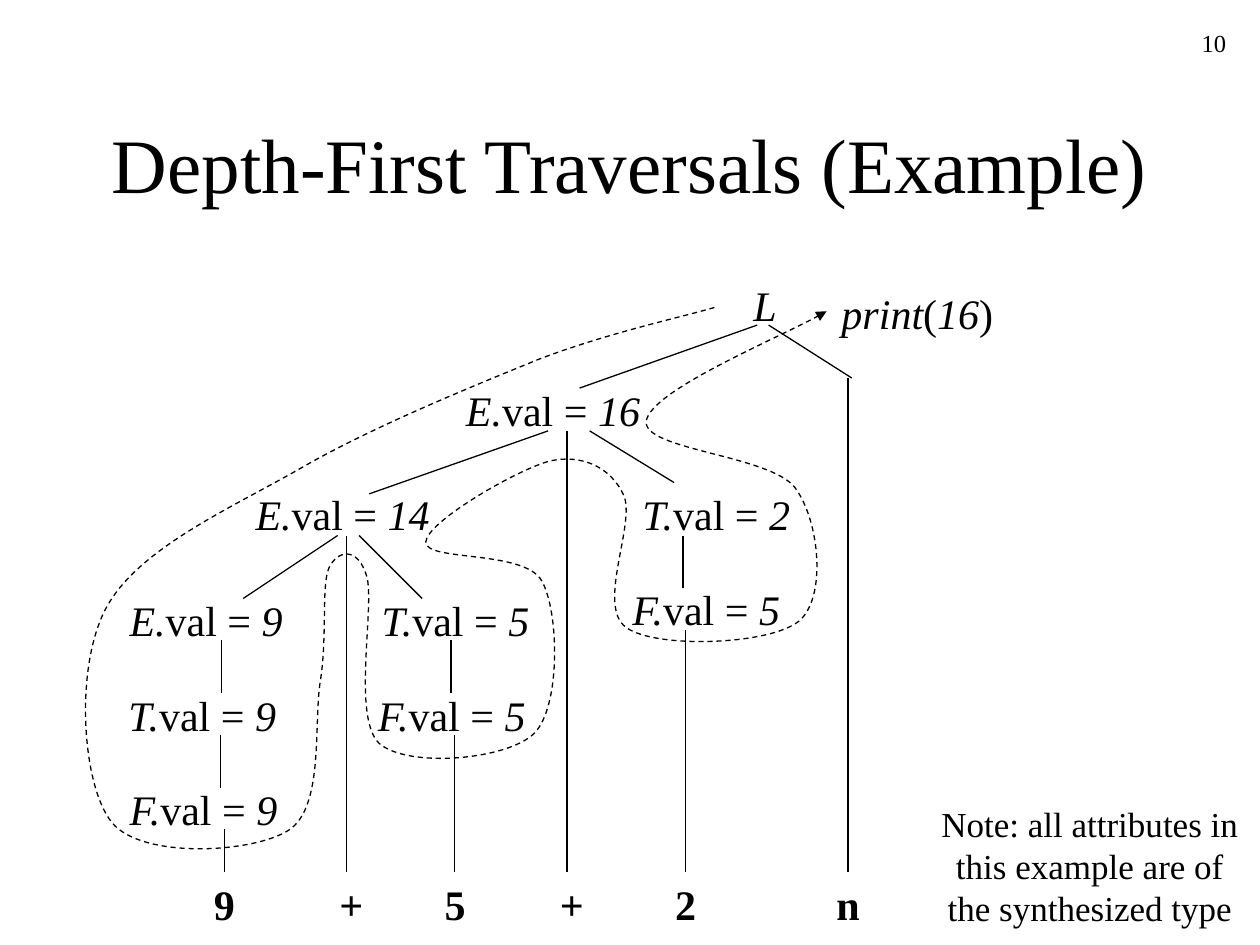
from collections import namedtuple

from lxml.etree import SubElement
from pptx import Presentation
from pptx.dml.color import RGBColor
from pptx.enum.dml import MSO_LINE_DASH_STYLE as Dash
from pptx.enum.shapes import MSO_CONNECTOR as Connector
from pptx.enum.text import MSO_ANCHOR as Anchor, MSO_AUTO_SIZE as AutoSize, PP_ALIGN as Align
from pptx.oxml.ns import qn
from pptx.util import Inches, Pt

COLORS = {"ink": "000000", "paper": "FFFFFF"}
FONT = "Times New Roman"
COLUMNS, ROWS = 10, 7.5
TOP = 0  # connection site of a rectangle

Box = namedtuple("Box", "left top width height")

# symbol, value, left, top, width (columns and rows of the tree box)
NODES = [
    ("E", "16", 3.6, 1, 1.6),
    ("E", "14", 1.93, 1.83, 1.6),
    ("T", "2", 5, 1.83, 1.45),
    ("F", "5", 4.92, 2.58, 1.45),
    ("E", "9", 0.93, 2.67, 1.45),
    ("T", "5", 2.93, 2.67, 1.45),
    ("T", "9", 0.92, 3.42, 1.45),
    ("F", "5", 2.9, 3.42, 1.45),
    ("F", "9", 0.93, 4.17, 1.45),
]
# token, stem column, stem top, width, offset of the token from its stem
LEAVES = [
    ("9", 1.76, 4.58, 0.36, 0.02),
    ("+", 2.75, 2.25, 0.39, 0.04),
    ("5", 3.6, 3.83, 0.36, 0.01),
    ("+", 4.5, 1.42, 0.39, 0.04),
    ("2", 5.43, 3, 0.36, 0.01),
    ("n", 6.75, 1, 0.38, -0.02),
]
JOIN_TOLERANCE = 0.02
LEAF_TOP = 4.92
BRANCHES = [
    (6.01, 0.58, 4.6, 1.08), (6.1, 0.58, 6.76, 1),
    (4.35, 1.42, 2.93, 1.92), (4.68, 1.42, 5.35, 1.83),
    (2.68, 2.25, 1.93, 2.75), (2.85, 2.25, 3.35, 2.75),
    (5.42, 2.25, 5.42, 2.67), (1.76, 3.08, 1.76, 3.5),
    (3.58, 3.08, 3.58, 3.5), (1.75, 3.83, 1.75, 4.25),
]
ROUTE_START = (5.67, 0.44)
# each row: two control points and the end of one curve
ROUTE_CURVES = [
    ((5.44, 0.51), (4.83, 0.64), (4.28, 0.85)),
    ((3.74, 1.07), (2.95, 1.39), (2.38, 1.72)),
    ((1.8, 2.05), (1.09, 2.36), (0.84, 2.83)),
    ((0.59, 3.3), (0.65, 4.24), (0.89, 4.53)),
    ((1.13, 4.82), (2.01, 4.77), (2.29, 4.59)),
    ((2.57, 4.41), (2.49, 3.77), (2.54, 3.42)),
    ((2.6, 3.07), (2.55, 2.65), (2.61, 2.51)),
    ((2.68, 2.36), (2.84, 2.34), (2.91, 2.57)),
    ((2.98, 2.8), (2.79, 3.69), (3.01, 3.9)),
    ((3.24, 4.1), (4.03, 4.03), (4.24, 3.82)),
    ((4.45, 3.61), (4.44, 2.86), (4.3, 2.61)),
    ((4.16, 2.36), (3.37, 2.46), (3.38, 2.3)),
    ((3.39, 2.14), (4.1, 1.73), (4.36, 1.66)),
    ((4.62, 1.6), (4.85, 1.71), (4.95, 1.93)),
    ((5.05, 2.15), (4.73, 2.81), (4.97, 2.98)),
    ((5.2, 3.15), (6.11, 3.12), (6.34, 2.93)),
    ((6.56, 2.75), (6.51, 2.14), (6.31, 1.87)),
    ((6.11, 1.61), (5.09, 1.57), (5.13, 1.34)),
    ((5.17, 1.1), (6.26, 0.65), (6.56, 0.47)),
]


def color(name):
    return RGBColor.from_string(COLORS[name])


def inside(box, left, top, width=0, height=0):
    return Box(box.left + left, box.top + top, width, height)


def format_run(run, size, bold=False, italic=False):
    font = run.font
    font.name, font.size, font.bold, font.italic = FONT, Pt(size), bold, italic
    font.color.rgb = color("ink")


def add_text(slide, box, pieces, size=24, bold=False, align=Align.LEFT):
    """Add a text box; pieces are (text, italic) pairs on one paragraph."""
    shape = slide.shapes.add_textbox(*map(Inches, box))
    frame = shape.text_frame
    frame.word_wrap = False
    frame.auto_size = AutoSize.SHAPE_TO_FIT_TEXT
    paragraph = frame.paragraphs[0]
    paragraph.alignment = align
    for text, italic in pieces:
        run = paragraph.add_run()
        run.text = text
        format_run(run, size, bold, italic)
    return shape


def format_line(line):
    line.color.rgb = color("ink")
    line.width = Pt(0.75)


def add_line(slide, box, x1, y1, x2, y2):
    start, end = inside(box, x1, y1), inside(box, x2, y2)
    points = start.left, start.top, end.left, end.top
    connector = slide.shapes.add_connector(Connector.STRAIGHT, *map(Inches, points))
    format_line(connector.line)
    SubElement(connector.element.spPr, qn("a:effectLst"))
    return connector


def add_route(slide, box):
    """Draw the dashed traversal: a polygon whose points become cubic curves."""
    points = [
        (Inches(box.left + x), Inches(box.top + y))
        for x, y in [ROUTE_START, *(point for curve in ROUTE_CURVES for point in curve)]
    ]
    builder = slide.shapes.build_freeform(*points[0])
    builder.add_line_segments(points[1:], close=False)
    route = builder.convert_to_shape()
    segments = list(route.element.iter(qn("a:lnTo")))
    for first in range(0, len(segments), 3):
        outline = segments[first].getparent()
        cubic = SubElement(outline, qn("a:cubicBezTo"))
        for segment in segments[first:first + 3]:
            cubic.append(segment[0])
            outline.remove(segment)
    route.shadow.inherit = False
    route.fill.background()
    format_line(route.line)
    route.line.dash_style = Dash.DASH
    SubElement(route.element.spPr.find(qn("a:ln")), qn("a:tailEnd"), type="triangle")


def add_tree(slide, box):
    add_text(slide, inside(box, 5.88, 0.17, 0.38, 0.5), [("L", True)])
    call = [("print", True), ("(", False), ("16", True), (")", False)]
    add_text(slide, inside(box, 6.58, 0.23, 1.45, 0.5), call)
    for symbol, value, left, top, width in NODES:
        pieces = [(symbol + ".", True), ("val = ", False), (value, True)]
        add_text(slide, inside(box, left, top, width, 0.5), pieces)
    for branch in BRANCHES:
        add_line(slide, box, *branch)
    for token, column, top, width, offset in LEAVES:
        left = column + offset - width / 2
        leaf = add_text(slide, inside(box, left, LEAF_TOP, width, 0.5), [(token, False)], bold=True)
        stem = add_line(slide, box, column, top, column, LEAF_TOP)
        if abs(offset) <= JOIN_TOLERANCE:
            stem.end_connect(leaf, TOP)
            stem.begin_x = stem.end_x
    add_route(slide, box)


def add_title(slide, box, text):
    title = slide.shapes.title
    title.left, title.top, title.width, title.height = map(Inches, box)
    frame = title.text_frame
    frame.text = text
    frame.vertical_anchor = Anchor.MIDDLE
    frame.paragraphs[0].alignment = Align.CENTER
    format_run(frame.paragraphs[0].runs[0], 44)


def add_note(slide, box, lines):
    note = add_text(slide, box, [], align=Align.CENTER)
    paragraph = note.text_frame.paragraphs[0]
    paragraph.text = "\v".join(lines)
    for run in paragraph.runs:
        format_run(run, 20)


def main():
    presentation = Presentation()
    presentation.slide_width, presentation.slide_height = Inches(COLUMNS), Inches(ROWS)
    slide = presentation.slides.add_slide(presentation.slide_layouts[5])
    slide.background.fill.solid()
    slide.background.fill.fore_color.rgb = color("paper")
    add_title(slide, Box(0.75, 0.67, 8.5, 1.25), "Depth-First Traversals (Example)")
    number = add_text(slide, Box(7.75, 0.17, 2.08, 0.5), [("10", False)], 14, align=Align.RIGHT)
    number.text_frame.word_wrap = True
    number.text_frame.auto_size = AutoSize.NONE
    add_tree(slide, Box(0, 2, COLUMNS, ROWS - 2))
    add_note(slide, Box(7.37, 6.32, 2.56, 1.1),
             ["Note: all attributes in", "this example are of", "the synthesized type"])
    presentation.save("out.pptx")


if __name__ == "__main__":
    main()
